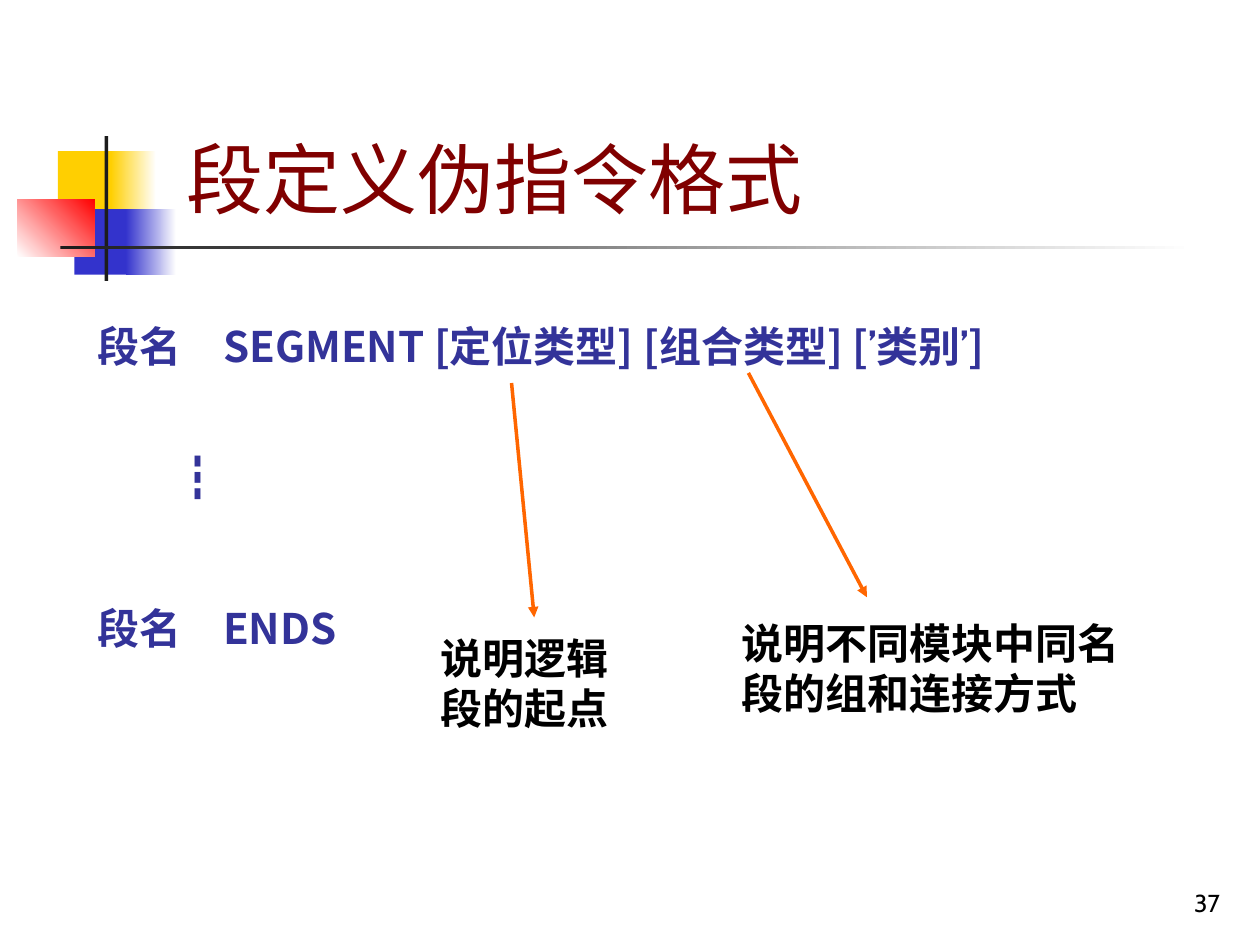
from dataclasses import dataclass

from lxml.etree import SubElement
from pptx import Presentation
from pptx.dml.color import RGBColor
from pptx.enum.shapes import MSO_CONNECTOR, MSO_SHAPE
from pptx.enum.text import MSO_ANCHOR, MSO_AUTO_SIZE, PP_ALIGN
from pptx.oxml.ns import qn
from pptx.util import Inches, Pt


@dataclass(frozen=True)
class Theme:
    yellow: str = "FFCF01"
    blue: str = "3333CC"
    red: str = "FF0000"
    dark: str = "1C1C1C"
    white: str = "FFFFFF"
    black: str = "000000"
    title: str = "800000"
    syntax: str = "333399"
    arrow: str = "FF6600"
    title_size: int = 44
    mark_size: int = 28
    text_size: int = 24
    number_size: int = 14
    sans: str = "Cabin"
    syntax_font: str = "Noto Sans CJK SC"
    serif: str = "Times New Roman"
    east_asian: str = "Cabin"


class SlideBuilder:
    """Holds the theme and the current slide and adds each kind of element."""

    def __init__(self, slide, theme):
        self.slide = slide
        self.theme = theme

    def place(self, item, box):
        item.left, item.top, item.width, item.height = map(Inches, box)

    def run(self, paragraph, text, size, color, font, bold=False):
        run = paragraph.add_run()
        run.text = text
        run.font.size = Pt(size)
        run.font.bold = bold
        run.font.name = font
        run.font.color.rgb = RGBColor.from_string(color)
        properties = run.font._element
        SubElement(properties, qn("a:ea")).set("typeface", self.theme.east_asian)

    def block(self, box, color, fade_to=None, angle=0):
        block = self.slide.shapes.add_shape(MSO_SHAPE.RECTANGLE, *map(Inches, box))
        block.shadow.inherit = False
        block.line.fill.background()
        if fade_to is None:
            block.fill.solid()
            block.fill.fore_color.rgb = RGBColor.from_string(color)
            return
        block.fill.gradient()
        block.fill.gradient_angle = angle
        for stop, shade in zip(block.fill.gradient_stops, (color, fade_to)):
            stop.color.rgb = RGBColor.from_string(shade)

    def title(self, box, text):
        title = self.slide.shapes.title
        self.place(title, box)
        frame = title.text_frame
        frame.vertical_anchor = MSO_ANCHOR.BOTTOM
        frame.auto_size = MSO_AUTO_SIZE.NONE
        paragraph = frame.paragraphs[0]
        paragraph.alignment = PP_ALIGN.LEFT
        self.run(paragraph, text, self.theme.title_size, self.theme.title, self.theme.sans)

    def syntax(self, box, lines):
        body = self.slide.placeholders[1]
        self.place(body, box)
        frame = body.text_frame
        frame.auto_size = MSO_AUTO_SIZE.NONE
        for index, (size, before, margin, tab, parts) in enumerate(lines):
            paragraph = frame.add_paragraph() if index else frame.paragraphs[0]
            paragraph.line_spacing = 1.1
            paragraph.space_before = Pt(before)
            paragraph.space_after = Pt(1.5)
            properties = paragraph._p.get_or_add_pPr()
            properties.set("marL", str(Inches(margin)))
            properties.set("indent", "0")
            SubElement(properties, qn("a:buNone"))
            if tab:
                stops = SubElement(properties, qn("a:tabLst"))
                SubElement(stops, qn("a:tab"), pos=str(Inches(tab)), algn="l")
            for text, font in parts:
                self.run(paragraph, text, size, self.theme.syntax, font, bold=True)

    def note(self, box, text):
        note = self.slide.shapes.add_textbox(*map(Inches, box))
        frame = note.text_frame
        frame.word_wrap = True
        frame.auto_size = MSO_AUTO_SIZE.SHAPE_TO_FIT_TEXT
        self.run(frame.paragraphs[0], text, self.theme.text_size,
                 self.theme.black, self.theme.serif, bold=True)

    def page_number(self, box, text):
        number = self.slide.shapes.add_textbox(*map(Inches, box))
        frame = number.text_frame
        frame.word_wrap = True
        frame.vertical_anchor = MSO_ANCHOR.BOTTOM
        paragraph = frame.paragraphs[0]
        paragraph.alignment = PP_ALIGN.RIGHT
        self.run(paragraph, text, self.theme.number_size, self.theme.black, self.theme.sans)

    def arrow(self, start, end):
        arrow = self.slide.shapes.add_connector(
            MSO_CONNECTOR.STRAIGHT, *map(Inches, start + end))
        arrow.line.color.rgb = RGBColor.from_string(self.theme.arrow)
        arrow.line.width = Pt(2)
        SubElement(arrow.line._get_or_add_ln(), qn("a:tailEnd"), type="triangle")
        SubElement(arrow._element.spPr, qn("a:effectLst"))


def main():
    presentation = Presentation()
    presentation.slide_width = Inches(10)
    presentation.slide_height = Inches(7.5)
    theme = Theme()
    builder = SlideBuilder(
        presentation.slides.add_slide(presentation.slide_layouts[1]), theme)

    builder.block((0.46, 1.2, 0.48, 0.52), theme.yellow)
    builder.block((0.88, 1.2, 0.36, 0.52), theme.yellow, theme.white)
    builder.block((0.59, 1.66, 0.46, 0.52), theme.blue)
    builder.block((1, 1.66, 0.4, 0.52), theme.blue, theme.white)
    builder.block((0.14, 1.58, 0.61, 0.46), theme.white, theme.red, angle=45)
    builder.block((0.83, 1.08, 0.03, 1.15), theme.dark)
    builder.block((0.48, 1.95, 9, 0.03), theme.dark, theme.white)

    builder.title((1.38, 0.23, 5.83, 1.6), "段定义伪指令格式")
    syntax_font = theme.syntax_font
    quote = ("’", theme.serif)
    opening = [("段名\tSEGMENT [定位类型] [组合类型] [", syntax_font), quote,
               ("类别", syntax_font), quote, ("]", syntax_font)]
    builder.syntax((0.67, 2.45, 8.75, 3.58), [
        (theme.text_size, 6, 0, 0.9, opening),
        (theme.mark_size, 39, 0.61, None, [("┇", syntax_font)]),
        (theme.text_size, 51, 0, 0.98, [("段名\tENDS", syntax_font)]),
    ])

    builder.note((3.4, 4.97, 1.83, 0.9), "说明逻辑段的起点")
    builder.arrow((4.06, 3.04), (4.24, 4.9))
    builder.note((5.79, 4.85, 3.35, 0.9), "说明不同模块中同名段的组和连接方式")
    builder.arrow((5.94, 2.96), (6.88, 4.74))
    builder.page_number((7.7, 6.83, 2.08, 0.5), "37")
    presentation.save("out.pptx")


if __name__ == "__main__":
    main()
